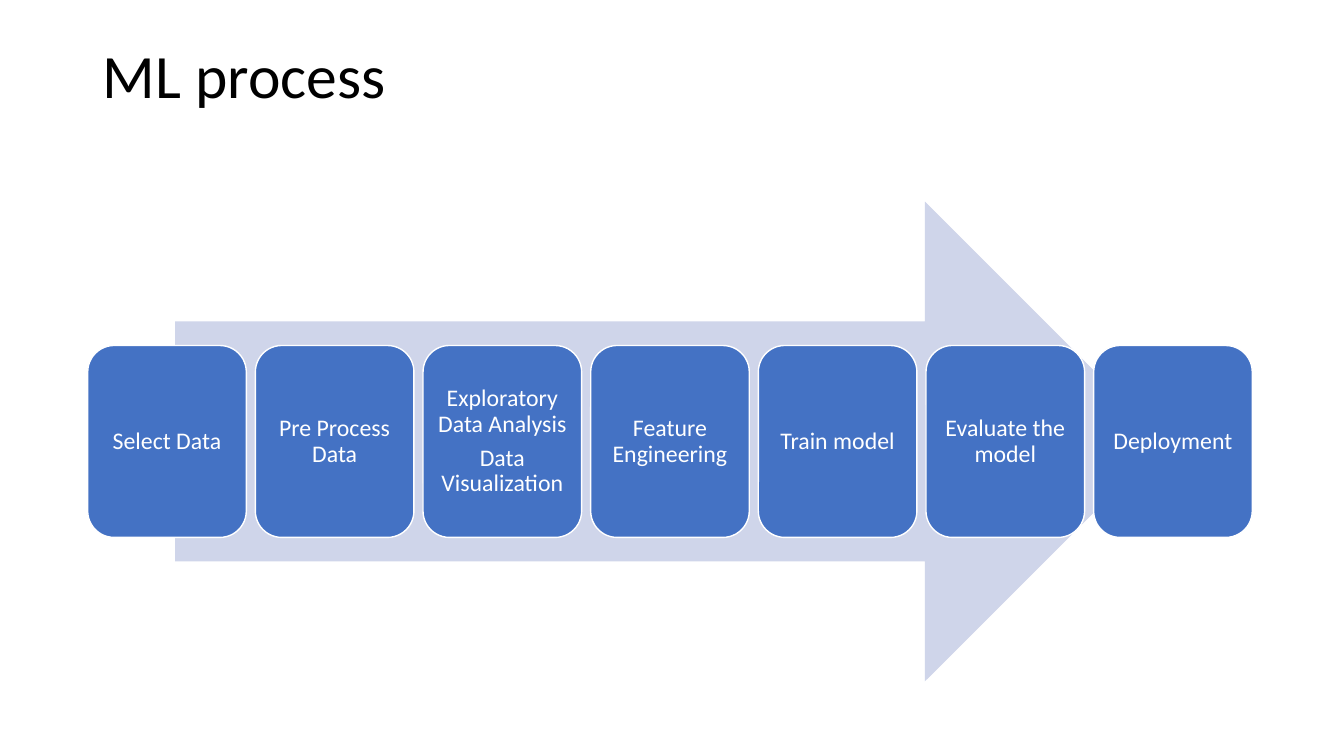
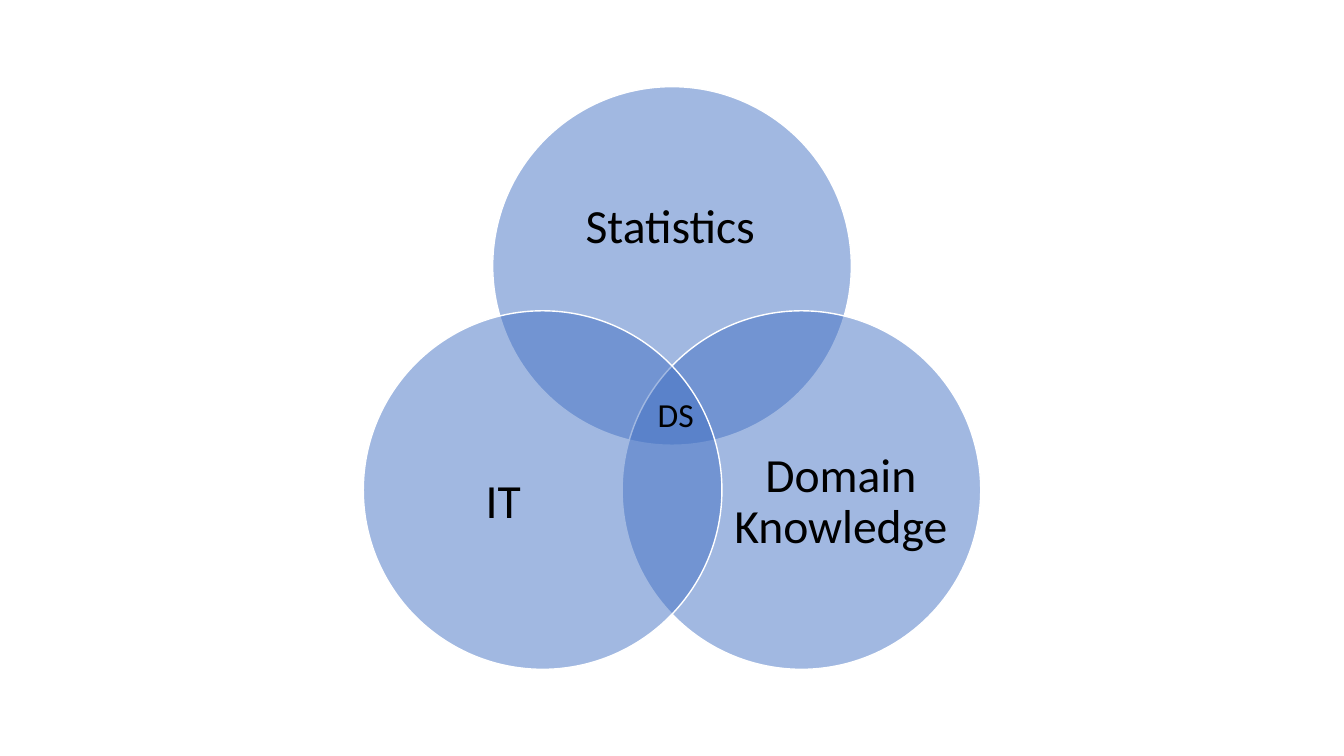
from dataclasses import dataclass
from math import cos, radians, sin

from lxml.etree import SubElement
from pptx import Presentation
from pptx.dml.color import RGBColor
from pptx.enum.shapes import MSO_SHAPE as Shape
from pptx.enum.text import MSO_ANCHOR as Anchor, MSO_AUTO_SIZE as AutoSize, PP_ALIGN as Align
from pptx.oxml.ns import qn
from pptx.util import Inches, Pt

SLIDE_W, SLIDE_H = 13.33, 7.5
TITLE_ONLY, BLANK = 5, 6


@dataclass(frozen=True)
class Theme:
    font: str = "Calibri"
    blue: RGBColor = RGBColor(0x44, 0x72, 0xC4)
    pale: RGBColor = RGBColor(0xCF, 0xD5, 0xEA)
    white: RGBColor = RGBColor(0xFF, 0xFF, 0xFF)
    black: RGBColor = RGBColor(0, 0, 0)
    title: int = 44
    field: int = 34
    core: int = 24
    stage: int = 17
    line: int = 1
    leading: float = 0.9
    after: float = 0.35  # paragraph gap as a share of the type size


THEME = Theme()


@dataclass(frozen=True)
class Box:
    left: float
    top: float
    width: float
    height: float

    def share(self, x, y, w, h):
        """A box given as shares of this one."""
        return Box(self.left + x * self.width, self.top + y * self.height,
                   w * self.width, h * self.height)

    def emu(self):
        return [Inches(v) for v in (self.left, self.top, self.width, self.height)]


# Shared helpers
def write(frame, text, size, color, align=Align.CENTER, anchor=Anchor.MIDDLE,
          inset=None, leading=THEME.leading, after=0.0):
    frame.text = text
    frame.word_wrap = True
    frame.vertical_anchor = anchor
    if inset is not None:
        frame.margin_left = frame.margin_right = Inches(inset)
        frame.margin_top = frame.margin_bottom = Inches(inset)
    for paragraph in frame.paragraphs:
        paragraph.alignment = align
        paragraph.line_spacing = leading
        paragraph.space_after = Pt(round(size * after))
        for run in paragraph.runs:
            run.font.name = THEME.font
            run.font.size = Pt(size)
            run.font.color.rgb = color


def draw(slide, kind, box, fill, outlined=True, alpha=None):
    shape = slide.shapes.add_shape(kind, *box.emu())
    shape.shadow.inherit = False
    shape.fill.solid()
    shape.fill.fore_color.rgb = fill
    if alpha is not None:
        tint = next(shape.element.spPr.iter(qn("a:srgbClr")))
        SubElement(tint, qn("a:alpha")).set("val", str(alpha * 1000))
    if outlined:
        shape.line.color.rgb = THEME.white
        shape.line.width = Pt(THEME.line)
    else:
        shape.line.fill.background()
    return shape


def place_title(slide, text, box):
    title = slide.shapes.title
    title.left, title.top, title.width, title.height = box.emu()
    write(title.text_frame, text, THEME.title, THEME.black, Align.LEFT, Anchor.TOP)


# Row of stages in front of a wide arrow
def process_arrow(slide, stages, box, gap=0.09):
    draw(slide, Shape.RIGHT_ARROW, box.share(0.075, 0, 0.85, 1), THEME.pale, outlined=False)
    row = box.share(0, 0.3, 1, 0.4)
    width = (row.width - gap * (len(stages) - 1)) / len(stages)
    for column, stage in enumerate(stages):
        cell = Box(row.left + column * (width + gap), row.top, width, row.height)
        card = draw(slide, Shape.ROUNDED_RECTANGLE, cell, THEME.blue)
        write(card.text_frame, stage, THEME.stage, THEME.white, inset=0.07, after=THEME.after)


# Overlapping circles around a common centre
def venn(slide, fields, core, box):
    # The circles span one diameter plus one and a half orbits
    diameter = box.height / (1 + 1.5 * 5 / 12)
    orbit = diameter * 5 / 12
    center_x = box.left + box.width / 2
    center_y = box.top + diameter / 2 + orbit
    for index, (field, label_share) in enumerate(fields):
        angle = radians(-90 + index * 360 / len(fields))
        circle = Box(center_x + orbit * cos(angle) - diameter / 2,
                     center_y + orbit * sin(angle) - diameter / 2, diameter, diameter)
        draw(slide, Shape.OVAL, circle, THEME.blue, alpha=50)
        label = slide.shapes.add_textbox(*circle.share(*label_share).emu())
        write(label.text_frame, field, THEME.field, THEME.black, inset=0, after=THEME.after)
    core_box = Box(center_x - 0.24, center_y - 0.26, 0.56, 0.5)
    core_frame = slide.shapes.add_textbox(*core_box.emu()).text_frame
    write(core_frame, core, THEME.core, THEME.black, Align.LEFT, Anchor.TOP, leading=1.0)
    core_frame.word_wrap = False
    core_frame.auto_size = AutoSize.SHAPE_TO_FIT_TEXT


STAGES = [
    "Select Data",
    "Pre Process Data",
    "Exploratory Data Analysis\nData Visualization",
    "Feature Engineering",
    "Train model",
    "Evaluate the model",
    "Deployment",
]

# Each field with its label area, as shares of its circle
FIELDS = [
    ("Statistics", (0.13, 0.17, 0.73, 0.45)),
    ("Domain Knowledge", (0.31, 0.26, 0.6, 0.55)),
    ("IT", (0.09, 0.26, 0.6, 0.55)),
]


def main():
    deck = Presentation()
    deck.slide_width, deck.slide_height = Inches(SLIDE_W), Inches(SLIDE_H)

    process = deck.slides.add_slide(deck.slide_layouts[TITLE_ONLY])
    place_title(process, "ML process", Box(0.92, 0.4, 11.5, 1.45))
    process_arrow(process, STAGES, Box(0.87, 2, 11.55, 4.76))

    skills = deck.slides.add_slide(deck.slide_layouts[BLANK])
    venn(skills, FIELDS, "DS", Box(0, 0.86, SLIDE_W, SLIDE_H - 2 * 0.86))

    deck.save("out.pptx")


if __name__ == "__main__":
    main()
